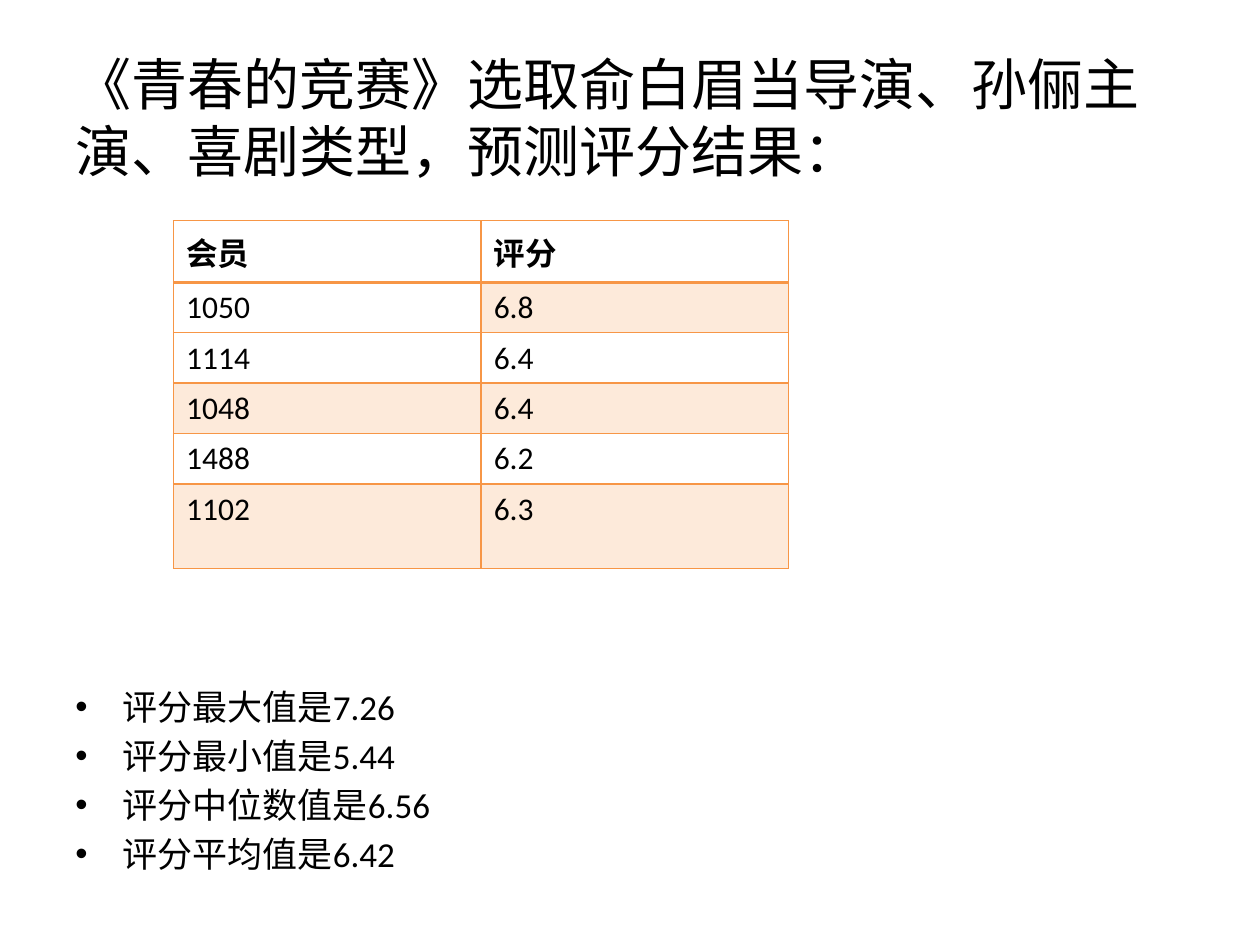
"""Build the slide with predicted ratings for a film."""
from lxml import etree
from pptx import Presentation
from pptx.dml.color import RGBColor
from pptx.enum.text import MSO_ANCHOR
from pptx.oxml.ns import qn
from pptx.util import Cm, Pt

MIDDLE, TOP = MSO_ANCHOR.MIDDLE, MSO_ANCHOR.TOP
BLACK = RGBColor(0x00, 0x00, 0x00)
WHITE = RGBColor(0xFF, 0xFF, 0xFF)
ORANGE = RGBColor(0xF7, 0x96, 0x46)
PEACH = RGBColor(0xFD, 0xEA, 0xDA)
FONT = "Calibri"

TITLE = "《青春的竞赛》选取俞白眉当导演、孙俪主演、喜剧类型，预测评分结果："
RATINGS = [
    ("会员", "评分"),
    ("1050", "6.8"),
    ("1114", "6.4"),
    ("1048", "6.4"),
    ("1488", "6.2"),
    ("1102", "6.3"),
]
SHADED_CELLS = {(1, 1), (3, 0), (3, 1), (5, 0), (5, 1)}
ROW_HEIGHTS = [1.24, 0.99, 0.99, 0.99, 0.99, 1.7]
COLUMN_WIDTH = 6.2
STATISTICS = ["评分最大值是7.26", "评分最小值是5.44", "评分中位数值是6.56", "评分平均值是6.42"]


def add_run(paragraph, text, size, bold=False):
    run = paragraph.add_run()
    run.text = text
    run.font.name = FONT
    run.font.size = Pt(size)
    run.font.bold = bold
    run.font.color.rgb = BLACK


def add_text_frame(slide, left, top, width, height, anchor):
    box = slide.shapes.add_textbox(Cm(left), Cm(top), Cm(width), Cm(height))
    frame = box.text_frame
    frame.word_wrap = True
    frame.vertical_anchor = anchor
    return frame


def add_bullet(paragraph):
    paragraph.space_before = Pt(4)
    properties = paragraph._p.get_or_add_pPr()
    properties.set("marL", str(Cm(0.95)))
    properties.set("indent", str(-Cm(0.95)))
    etree.SubElement(properties, qn("a:buFont")).set("typeface", "Arial")
    etree.SubElement(properties, qn("a:buChar")).set("char", "•")


def set_borders(cell, widths):
    properties = cell._tc.get_or_add_tcPr()
    for position, (side, width) in enumerate(widths.items()):
        line = etree.Element(qn(f"a:ln{side}"), w=str(Pt(width)))
        fill = etree.SubElement(line, qn("a:solidFill"))
        etree.SubElement(fill, qn("a:srgbClr")).set("val", str(ORANGE))
        properties.insert(position, line)


def add_ratings_table(slide):
    rows, columns = len(RATINGS), len(RATINGS[0])
    frame = slide.shapes.add_table(rows, columns, Cm(3.5), Cm(4.45),
                                   Cm(COLUMN_WIDTH * columns), Cm(sum(ROW_HEIGHTS)))
    table = frame.table
    table.first_row = True
    table.horz_banding = False
    for column in table.columns:
        column.width = Cm(COLUMN_WIDTH)
    for row_index, values in enumerate(RATINGS):
        table.rows[row_index].height = Cm(ROW_HEIGHTS[row_index])
        header = row_index == 0
        for column_index, value in enumerate(values):
            cell = table.cell(row_index, column_index)
            cell.vertical_anchor = MIDDLE if header else TOP
            cell.fill.solid()
            shaded = (row_index, column_index) in SHADED_CELLS
            cell.fill.fore_color.rgb = PEACH if shaded else WHITE
            add_run(cell.text_frame.paragraphs[0], value, 18, header)
            set_borders(cell, {"L": 1, "R": 1, "T": 2 if row_index == 1 else 1,
                               "B": 2 if header else 1})


def main():
    presentation = Presentation()
    presentation.slide_width, presentation.slide_height = Cm(25.4), Cm(19.05)
    slide = presentation.slides.add_slide(presentation.slide_layouts[6])

    title = add_text_frame(slide, 1.27, 0.76, 22.86, 3.18, MIDDLE)
    add_run(title.paragraphs[0], TITLE, 32)

    add_ratings_table(slide)

    statistics = add_text_frame(slide, 1.27, 13.7, 22.83, 4.2, TOP)
    for index, text in enumerate(STATISTICS):
        paragraph = statistics.add_paragraph() if index else statistics.paragraphs[0]
        add_bullet(paragraph)
        add_run(paragraph, text, 20)

    presentation.save("out.pptx")


main()
